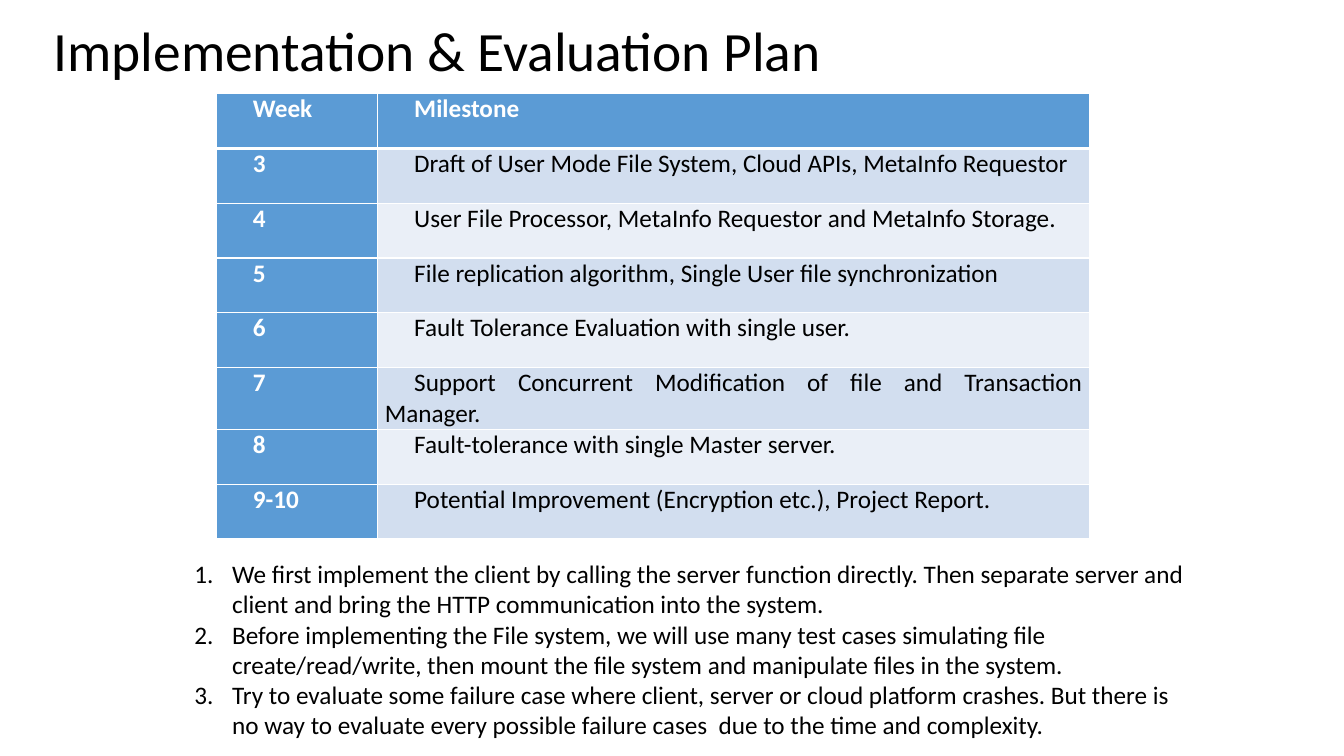
from dataclasses import dataclass

import pptx
import pptx.dml.color
import pptx.enum.text
import pptx.oxml
import pptx.oxml.ns
import pptx.util

Pt = pptx.util.Pt
RGB = pptx.dml.color.RGBColor.from_string
ALIGN = pptx.enum.text.PP_ALIGN
ANCHOR = pptx.enum.text.MSO_ANCHOR


@dataclass(frozen=True)
class Theme:
    """Colours, font and type sizes of the slide."""
    font: str = "Calibri"
    title_size: float = 39.6
    body_size: float = 18
    ink: str = "000000"
    white: str = "FFFFFF"
    accent: str = "5B9BD5"
    bands: tuple = ("D2DEEF", "EAEFF7")


THEME = Theme()

MILESTONES = [
    ("Week", "Milestone"),
    ("3", "Draft of User Mode File System, Cloud APIs, MetaInfo Requestor"),
    ("4", "User File Processor, MetaInfo Requestor and MetaInfo Storage."),
    ("5", "File replication algorithm, Single User file synchronization"),
    ("6", "Fault Tolerance Evaluation with single user."),
    ("7", "Support Concurrent Modification of file and Transaction Manager."),
    ("8", "Fault-tolerance with single Master server."),
    ("9-10", "Potential Improvement (Encryption etc.), Project Report."),
]
COLUMN_WIDTHS = (115.2, 509.1)
ROW_HEIGHT = 39.1
TWO_LINE_HEIGHT = 44.4
TWO_LINE_WEEK = "7"

APPROACH = [
    "We first implement the client by calling the server function directly. "
    "Then separate server and client and bring the HTTP communication into the system.",
    "Before implementing the File system, we will use many test cases simulating file "
    "create/read/write, then mount the file system and manipulate files in the system.",
    "Try to evaluate some failure case where client, server or cloud platform crashes. "
    "But there is no way to evaluate every possible failure cases  due to the time "
    "and complexity.",
]


def style_runs(paragraph, size, color, bold=False):
    """Give every run of a paragraph the theme font, a size and a colour."""
    for run in paragraph.runs:
        run.font.name = THEME.font
        run.font.size = Pt(size)
        run.font.bold = bold
        run.font.color.rgb = RGB(color)


def place(shape, left, top, width, height):
    """Position a shape, in points."""
    shape.left, shape.top = Pt(left), Pt(top)
    shape.width, shape.height = Pt(width), Pt(height)


def set_title(slide, wording):
    """Fill and format the title placeholder."""
    title = slide.shapes.title
    place(title, 31, 15.1, 911.5, 46.1)
    frame = title.text_frame
    frame.text = wording
    frame.word_wrap = True
    frame.auto_size = pptx.enum.text.MSO_AUTO_SIZE.NONE
    frame.vertical_anchor = ANCHOR.MIDDLE
    heading = frame.paragraphs[0]
    heading.alignment = ALIGN.LEFT
    heading.line_spacing = 0.9
    style_runs(heading, THEME.title_size, THEME.ink)


def set_borders(cell, top, bottom):
    """Draw white cell borders: 1 pt at the sides, given widths above and below."""
    widths = {"lnL": 1, "lnR": 1, "lnT": top, "lnB": bottom}
    for position, (side, width) in enumerate(widths.items()):
        line = pptx.oxml.parse_xml(
            f'<a:{side} {pptx.oxml.ns.nsdecls("a")} w="{Pt(width)}">'
            f'<a:solidFill><a:srgbClr val="{THEME.white}"/></a:solidFill></a:{side}>')
        cell._tc.get_or_add_tcPr().insert(position, line)


def fill_cell(cell, wording, fill, color, bold):
    """Write one justified cell with an indented first line."""
    cell.margin_left = cell.margin_right = Pt(5.4)
    cell.margin_top = cell.margin_bottom = 0
    cell.vertical_anchor = ANCHOR.TOP
    cell.fill.solid()
    cell.fill.fore_color.rgb = RGB(fill)
    cell.text_frame.text = wording
    entry = cell.text_frame.paragraphs[0]
    entry.alignment = ALIGN.JUSTIFY
    entry._p.get_or_add_pPr().set("indent", str(Pt(21)))
    style_runs(entry, THEME.body_size, color, bold)


def add_milestone_table(slide):
    """Add the week-by-week plan with accented header row and week column."""
    heights = [TWO_LINE_HEIGHT if week == TWO_LINE_WEEK else ROW_HEIGHT
               for week, _ in MILESTONES]
    plan = slide.shapes.add_table(
        len(MILESTONES), len(COLUMN_WIDTHS), Pt(154.3), Pt(67),
        Pt(sum(COLUMN_WIDTHS)), Pt(sum(heights))).table
    plan.first_col = True
    for column, width in zip(plan.columns, COLUMN_WIDTHS):
        column.width = Pt(width)
    for row, (height, entries) in enumerate(zip(heights, MILESTONES)):
        plan.rows[row].height = Pt(height)
        for col, wording in enumerate(entries):
            accented = row == 0 or col == 0
            fill = THEME.accent if accented else THEME.bands[(row - 1) % 2]
            color = THEME.white if accented else THEME.ink
            cell = plan.cell(row, col)
            fill_cell(cell, wording, fill, color, accented)
            set_borders(cell, 3 if row == 1 else 1, 3 if row == 0 else 1)


def add_numbered_list(slide, items):
    """Add the automatically numbered notes on the approach."""
    approach = slide.shapes.add_textbox(Pt(131.8), Pt(395.3), Pt(722.9), Pt(138.2))
    frame = approach.text_frame
    frame.word_wrap = True
    frame.text = "\n".join(items)
    for step in frame.paragraphs:
        style_runs(step, THEME.body_size, THEME.ink)
        properties = step._p.get_or_add_pPr()
        properties.set("marL", str(Pt(27)))
        properties.set("indent", str(Pt(-27)))
        for bullet in ('buFont typeface="+mj-lt"', 'buAutoNum type="arabicPeriod"'):
            properties.append(pptx.oxml.parse_xml(
                f'<a:{bullet} {pptx.oxml.ns.nsdecls("a")}/>'))


def main():
    """Build the slide and save it."""
    deck = pptx.Presentation()
    deck.slide_width, deck.slide_height = Pt(960), Pt(540)
    slide = deck.slides.add_slide(deck.slide_layouts.get_by_name("Title Only"))
    set_title(slide, "Implementation & Evaluation Plan")
    add_milestone_table(slide)
    add_numbered_list(slide, APPROACH)
    deck.save("out.pptx")


main()
